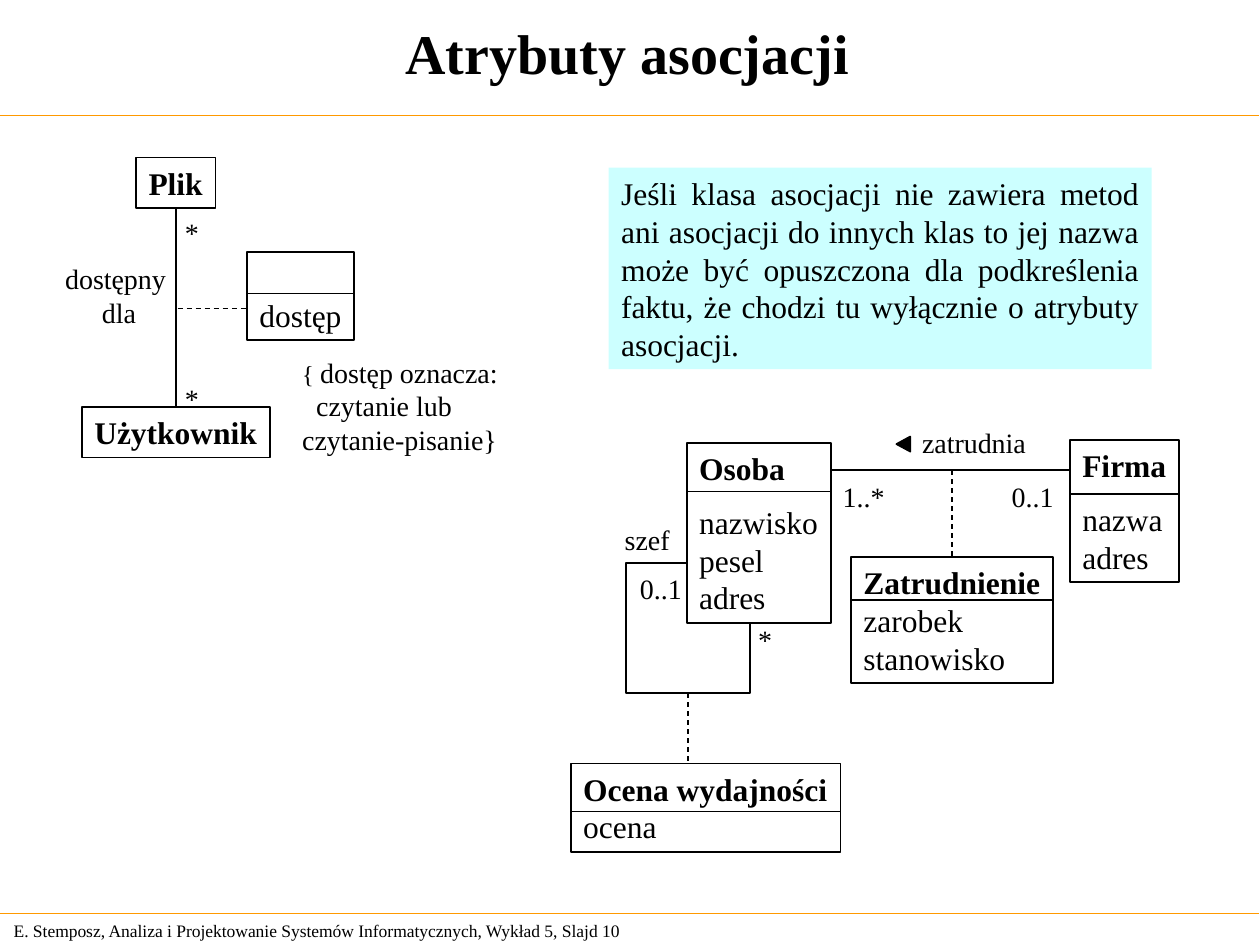
from dataclasses import dataclass
from typing import NamedTuple, Optional

from lxml.etree import SubElement
from pptx import Presentation
from pptx.dml.color import RGBColor as Rgb
from pptx.enum.dml import MSO_LINE_DASH_STYLE as Dash
from pptx.enum.shapes import MSO_CONNECTOR as Conn, MSO_SHAPE as Kind
from pptx.enum.text import MSO_ANCHOR as Anchor, PP_ALIGN as Align
from pptx.oxml.ns import qn
from pptx.util import Pt


@dataclass(frozen=True)
class Theme:
    font: str = "Times New Roman"
    ink: Rgb = Rgb(0, 0, 0)
    paper: Rgb = Rgb(255, 255, 255)
    note: Rgb = Rgb(0xCC, 0xFF, 0xFF)
    rule: Rgb = Rgb(0xFF, 0x99, 0x00)
    title: int = 32
    body: int = 18
    label: int = 16
    brace: int = 14
    foot: int = 10
    thick: float = 1
    thin: float = 0.75


class Box(NamedTuple):
    x: float
    y: float
    w: float
    h: float


class Row(NamedTuple):
    text: str
    bold: bool = False
    gap: float = 0
    indent: float = 0
    lead: str = ""


class Entity(NamedTuple):
    """A class box; split is the height of its divider on the slide."""
    box: Box
    name: str = ""
    fields: tuple = ()
    split: float = 0
    gap: float = 0
    fill: Optional[Rgb] = None


class Label(NamedTuple):
    box: Box
    rows: tuple


T = Theme()
GAP = 9.2  # space under a class name

PLIK = Entity(Box(77.8, 90, 45.4, 28.8), "Plik")
USER = Entity(Box(46.8, 232.6, 107.4, 28.8), "Użytkownik")
ACCESS = Entity(Box(141.1, 144, 61.2, 50.4), "", ("dostęp",), 167.8)
OSOBA = Entity(Box(392.4, 253, 82.3, 103), "Osoba",
               ("nazwisko", "pesel", "adres"), 280.8, GAP, T.paper)
FIRMA = Entity(Box(611.4, 251.3, 62.3, 81.4), "Firma",
               ("nazwa", "adres"), 282.2, GAP)
JOB = Entity(Box(486.3, 318.2, 115.4, 72), "Zatrudnienie",
             ("zarobek", "stanowisko"), 342.7)
GRADE = Entity(Box(326.2, 436.3, 154.1, 50.4), "Ocena wydajności",
               ("ocena",), 463.7)
LOOP = Entity(Box(357.6, 321.8, 71.2, 74.2))

STARS = [(98.6, 119.5), (98.6, 214.6), (426.2, 352.1)]
COUNTS = [("0..1", 358.6, 323.3), ("0..1", 571, 270.7), ("1..*", 474.5, 270.7)]
LABELS = [
    Label(Box(165.6, 199.4, 132, 64.8),
          (Row("dostęp oznacza:", lead="{ "),
           Row("czytanie lub", indent=8), Row("czytanie-pisanie}"))),
    Label(Box(349.9, 295.2, 46, 26), (Row("szef"),)),
    Label(Box(519.8, 239.8, 82, 26), (Row("zatrudnia"),)),
    *(Label(Box(x, y, 26, 26.6), (Row("*"),)) for x, y in STARS),
    *(Label(Box(x, y, 44, 26.6), (Row(text),)) for text, x, y in COUNTS),
]
NOTE = ("Jeśli klasa asocjacji nie zawiera metod ani asocjacji do innych klas "
        "to jej nazwa może być opuszczona dla podkreślenia faktu, że chodzi tu "
        "wyłącznie o atrybuty asocjacji.")
FOOT = ("E. Stemposz, Analiza i Projektowanie Systemów Informatycznych, "
        "Wykład 5, Slajd 10")


def write(shape, *rows: Row, size: float = T.body, align=Align.LEFT,
          anchor=Anchor.TOP, wrap: bool = False) -> None:
    frame = shape.text_frame
    frame.word_wrap = wrap
    frame.vertical_anchor = anchor
    for i, row in enumerate(rows):
        para = frame.paragraphs[0] if i == 0 else frame.add_paragraph()
        para.alignment = align
        if row.gap:
            para.space_before = Pt(row.gap)
        if row.indent:
            para._p.get_or_add_pPr().set("marL", str(Pt(row.indent)))
        for text, height in ((row.lead, T.brace), (row.text, size)):
            if text:
                run = para.add_run()
                run.text = text
                run.font.name = T.font
                run.font.size = Pt(height)
                run.font.bold = row.bold
                run.font.color.rgb = T.ink


def area(box: Box) -> tuple:
    return tuple(Pt(v) for v in box)


def text(slide, box: Box, *rows: Row, **form) -> None:
    write(slide.shapes.add_textbox(*area(box)), *rows, **form)


def block(slide, box: Box, kind=Kind.RECTANGLE, fill: Optional[Rgb] = None,
          line: Optional[Rgb] = T.ink):
    shape = slide.shapes.add_shape(kind, *area(box))
    shape.shadow.inherit = False
    if fill is None:
        shape.fill.background()
    else:
        shape.fill.solid()
        shape.fill.fore_color.rgb = fill
    if line is None:
        shape.line.fill.background()
    else:
        shape.line.color.rgb = line
        shape.line.width = Pt(T.thick)
    return shape


def link(slide, x1: float, y1: float, x2: float, y2: float,
         color: Rgb = T.ink, width: float = T.thick, dash: bool = False):
    line = slide.shapes.add_connector(
        Conn.STRAIGHT, Pt(x1), Pt(y1), Pt(x2), Pt(y2))
    line.line.color.rgb = color
    line.line.width = Pt(width)
    if dash:
        line.line.dash_style = Dash.DASH
    SubElement(line._element.spPr, qn("a:effectLst"))
    return line


def entity(slide, item: Entity):
    box = item.box
    shape = block(slide, box, fill=item.fill)
    rows = [Row(item.name, bold=True)] if item.name else []
    rows += [Row(field, gap=0 if i else item.gap)
             for i, field in enumerate(item.fields)]
    if rows:
        write(shape, *rows, anchor=Anchor.TOP if item.name else Anchor.BOTTOM)
    if item.split:
        link(slide, box.x, item.split, box.x + box.w, item.split)
    return shape


def main() -> None:
    deck = Presentation()
    deck.slide_width, deck.slide_height = Pt(720), Pt(540)
    slide = deck.slides.add_slide(deck.slide_layouts[6])

    text(slide, Box(0, -0.7, 717, 61.2), Row("Atrybuty asocjacji", bold=True),
         size=T.title, align=Align.CENTER, anchor=Anchor.MIDDLE, wrap=True)
    text(slide, Box(0.7, 522, 384, 19.4), Row(FOOT),
         size=T.foot, anchor=Anchor.MIDDLE)
    for y in (66.2, 522):
        link(slide, -0.7, y, 719.3, y, T.rule, T.thin)

    plik, user, _, loop, _, _, job, _ = [entity(slide, item) for item in (
        PLIK, USER, ACCESS, LOOP, OSOBA, FIRMA, JOB, GRADE)]
    note = block(slide, Box(347.8, 95.8, 310.3, 115.2), fill=T.note, line=None)
    write(note, Row(NOTE), align=Align.JUSTIFY, anchor=Anchor.MIDDLE, wrap=True)

    bond = link(slide, 100.5, 118.8, 100.5, 232.6)
    bond.begin_connect(plik, 2)
    bond.end_connect(user, 0)
    link(slide, 474.7, 268.6, 611.4, 268.6)
    link(slide, 101.5, 176.4, 141.1, 176.4, width=T.thin, dash=True)
    link(slide, 544, 268.6, 544, 318.2,
         width=T.thin, dash=True).end_connect(job, 0)
    link(slide, 393.2, 396, 393.2, 436.3,
         width=T.thin, dash=True).begin_connect(loop, 2)

    text(slide, Box(26, 146.2, 84, 45.4), Row("dostępny "), Row("dla"),
         size=T.label, align=Align.CENTER)
    for label in LABELS:
        text(slide, label.box, *label.rows, size=T.label)
    arrow = block(slide, Box(511.9, 249.8, 8.6, 7.9),
                  Kind.FLOWCHART_EXTRACT, fill=T.ink)
    arrow.rotation = 270

    deck.save("out.pptx")


if __name__ == "__main__":
    main()
